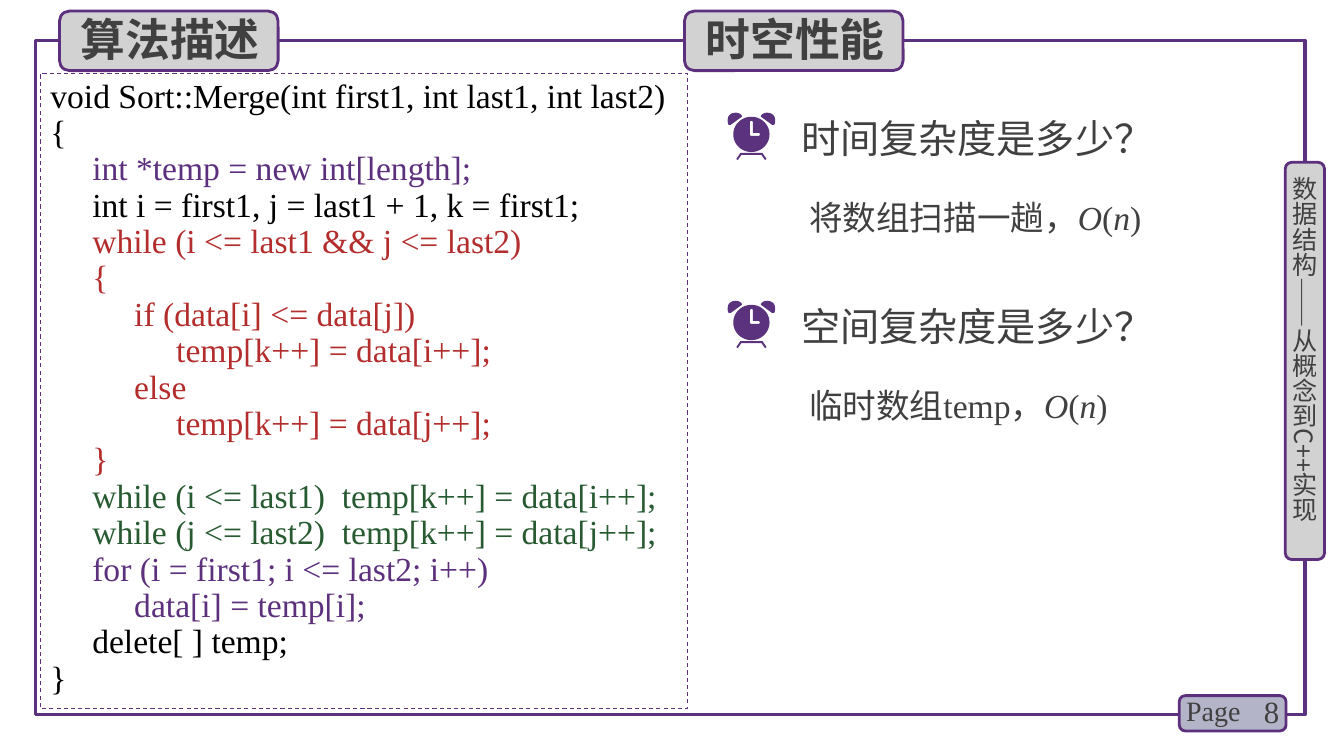
from math import cos, pi, sin

from lxml.etree import SubElement
from pptx import Presentation
from pptx.dml.color import RGBColor
from pptx.enum.dml import MSO_LINE
from pptx.enum.shapes import MSO_SHAPE
from pptx.enum.text import MSO_ANCHOR, PP_ALIGN
from pptx.oxml.ns import qn
from pptx.util import Cm, Pt

PURPLE = RGBColor(0x5C, 0x30, 0x7D)
FRAME = RGBColor(0x5A, 0x32, 0x7D)
RED = RGBColor(0xB4, 0x2D, 0x2D)
GREEN = RGBColor(0x28, 0x5A, 0x32)
BLACK = RGBColor(0, 0, 0)
DARK = RGBColor(0x40, 0x40, 0x40)
GREY = RGBColor(0xD2, 0xD2, 0xD2)
BLUE = RGBColor(0xB4, 0xB4, 0xC8)
SERIF, SANS = "Times New Roman", "Noto Sans CJK SC"

TABS = [(1.5, "算法描述"), (17.25, "时空性能")]
SIDE = "数据结构——从概念到C++实现"
CODE = [
    (BLACK, ["void Sort::Merge(int first1, int last1, int last2)", "{"]),
    (PURPLE, ["     int *temp = new int[length];"]),
    (BLACK, ["     int i = first1, j = last1 + 1, k = first1;"]),
    (RED, ["     while (i <= last1 && j <= last2)",
           "     {",
           "          if (data[i] <= data[j])",
           "               temp[k++] = data[i++];",
           "          else",
           "               temp[k++] = data[j++];",
           "     }"]),
    (GREEN, ["     while (i <= last1)  temp[k++] = data[i++];",
             "     while (j <= last2)  temp[k++] = data[j++];"]),
    (PURPLE, ["     for (i = first1; i <= last2; i++)",
              "          data[i] = temp[i];"]),
    (BLACK, ["     delete[ ] temp;", "}"]),
]
TOPICS = [("时间复杂度是多少？", "将数组扫描一趟，"),
          ("空间复杂度是多少？", "临时数组temp，")]
ORDER = [("O", True), ("(", False), ("n", True), (")", False)]
PITCH = 4.74

# Clock outlines in small units; a six-number entry is a curve.
UNIT = Cm(0.0254)
EAR = [(8, 0), (3, 0, 0, 3, 0, 7), (0, 9, 0, 11, 1, 12), (3, 12),
       (14, 4), (14, 3), (13, 1, 10, 0, 8, 0)]
FEET = [(8.5, 46), (12.5, 40), (34.5, 40), (38.5, 46), (37, 47),
        (33.5, 42), (13.5, 42), (10, 47)]
HANDS = [(22, 9), (23, 8), (24, 8), (25, 9), (25, 20), (31, 20), (32, 21),
         (32, 22), (31, 23), (23, 23), (22, 22)]
WIDTH = 47


def trace(nodes):
    """Turn points and cubic curves into a list of plain points."""
    points = [nodes[0]]
    for node in nodes[1:]:
        if len(node) == 2:
            points.append(node)
            continue
        start = points[-1]
        ctrl = [start, node[:2], node[2:4], node[4:]]
        for step in range(1, 9):
            t = step / 8
            mix = ((1 - t) ** 3, 3 * t * (1 - t) ** 2, 3 * t * t * (1 - t), t ** 3)
            points.append(tuple(sum(m * c[axis] for m, c in zip(mix, ctrl))
                                for axis in (0, 1)))
    return points


def add_form(shapes, left, top, *rings):
    """Draw closed rings as one shape; a later ring cuts a hole."""
    rings = [[(Cm(left) + round(x * UNIT), Cm(top) + round(y * UNIT))
              for x, y in ring] for ring in rings]
    form = shapes.build_freeform(*rings[0][0])
    form.add_line_segments(rings[0][1:])
    for ring in rings[1:]:
        form.move_to(*ring[0])
        form.add_line_segments(ring[1:])
    shape = form.convert_to_shape()
    shape.shadow.inherit = False
    shape.fill.solid()
    shape.fill.fore_color.rgb = FRAME
    shape.line.fill.background()


def add_clock(shapes, left, top):
    ear = trace(EAR)
    face = [(WIDTH / 2 + 18 * cos(a * pi / 30), 21.5 + 17.5 * sin(a * pi / 30))
            for a in range(60)]
    add_form(shapes, left, top, FEET)
    add_form(shapes, left, top, ear)
    add_form(shapes, left, top, [(WIDTH - x, y) for x, y in ear])
    add_form(shapes, left, top, face, HANDS)


def add_box(shapes, kind, place, fill, color, width):
    box = shapes.add_shape(kind, *map(Cm, place))
    box.shadow.inherit = False
    if fill is None:
        box.fill.background()
    else:
        box.fill.solid()
        box.fill.fore_color.rgb = fill
    box.line.color.rgb = color
    box.line.width = Pt(width)
    return box


def add_run(para, text, size, font=SERIF, color=DARK, bold=False, italic=False):
    run = para.add_run()
    run.text = text
    style = run.font
    style.size, style.name = Pt(size), font
    style.bold, style.italic = bold, italic
    style.color.rgb = color
    SubElement(style._element, qn("a:ea")).set("typeface", SANS)


def add_text(shapes, place, text, size, space=None, **look):
    box = shapes.add_textbox(*map(Cm, place))
    box.text_frame.word_wrap = True
    para = box.text_frame.paragraphs[0]
    if space:
        para.line_spacing = Pt(space)
    add_run(para, text, size, **look)
    return box.text_frame


deck = Presentation()
deck.slide_width, deck.slide_height = Cm(33.87), Cm(19.05)
shapes = deck.slides.add_slide(deck.slide_layouts[6]).shapes
ROUND = MSO_SHAPE.ROUNDED_RECTANGLE

# Frame, page number and side label
add_box(shapes, MSO_SHAPE.RECTANGLE, (0.89, 1.02, 32, 16.99), None, FRAME, 2.25)
add_box(shapes, ROUND, (29.72, 17.53, 2.69, 0.89), BLUE, PURPLE, 2)
number = add_text(shapes, (30.99, 17.42, 1.5, 1.02), "8", 22)
number.vertical_anchor = MSO_ANCHOR.MIDDLE
number.paragraphs[0].alignment = PP_ALIGN.RIGHT
add_text(shapes, (29.64, 17.35, 1.98, 1.12), "Page", 20)
add_box(shapes, ROUND, (32.39, 4.09, 0.99, 10.01), GREY, PURPLE, 2)
side = add_text(shapes, (32.49, 4.45, 0.76, 9.6), SIDE, 18, font=SANS)
side.margin_left = side.margin_right = side.margin_top = side.margin_bottom = 0
side._txBody.bodyPr.set("vert", "eaVert")

# Code panel
panel = add_box(shapes, MSO_SHAPE.RECTANGLE, (1.02, 1.85, 16.31, 16), None, PURPLE, 0.75)
panel.line.dash_style = MSO_LINE.DASH
frame = panel.text_frame
frame.word_wrap = True
frame.vertical_anchor = MSO_ANCHOR.TOP
lines = [(color, line) for color, block in CODE for line in block]
for row, (color, line) in enumerate(lines):
    para = frame.add_paragraph() if row else frame.paragraphs[0]
    para.alignment = PP_ALIGN.LEFT
    para.line_spacing = Pt(26)
    add_run(para, line, 24, color=color)

# Headings
for left, title in TABS:
    tab = shapes.add_group_shape().shapes
    add_box(tab, ROUND, (left, 0.28, 5.51, 1.5), GREY, PURPLE, 2)
    add_text(tab, (left + 0.28, 0.18, 5.33, 1.63), title, 32, font=SANS, bold=True)

# Questions and answers
for row, (ask, reply) in enumerate(TOPICS):
    drop = row * PITCH
    topic = shapes.add_group_shape().shapes
    add_clock(topic, 18.34, 2.84 + drop)
    add_text(topic, (19.94, 2.54 + drop, 11.61, 1.68), ask, 28, space=40)
    answer = add_text(shapes, (20.14, 4.45 + drop, 11.61, 1.68), reply, 24, space=40)
    for text, slant in ORDER:
        add_run(answer.paragraphs[0], text, 24, italic=slant)

deck.save("out.pptx")
